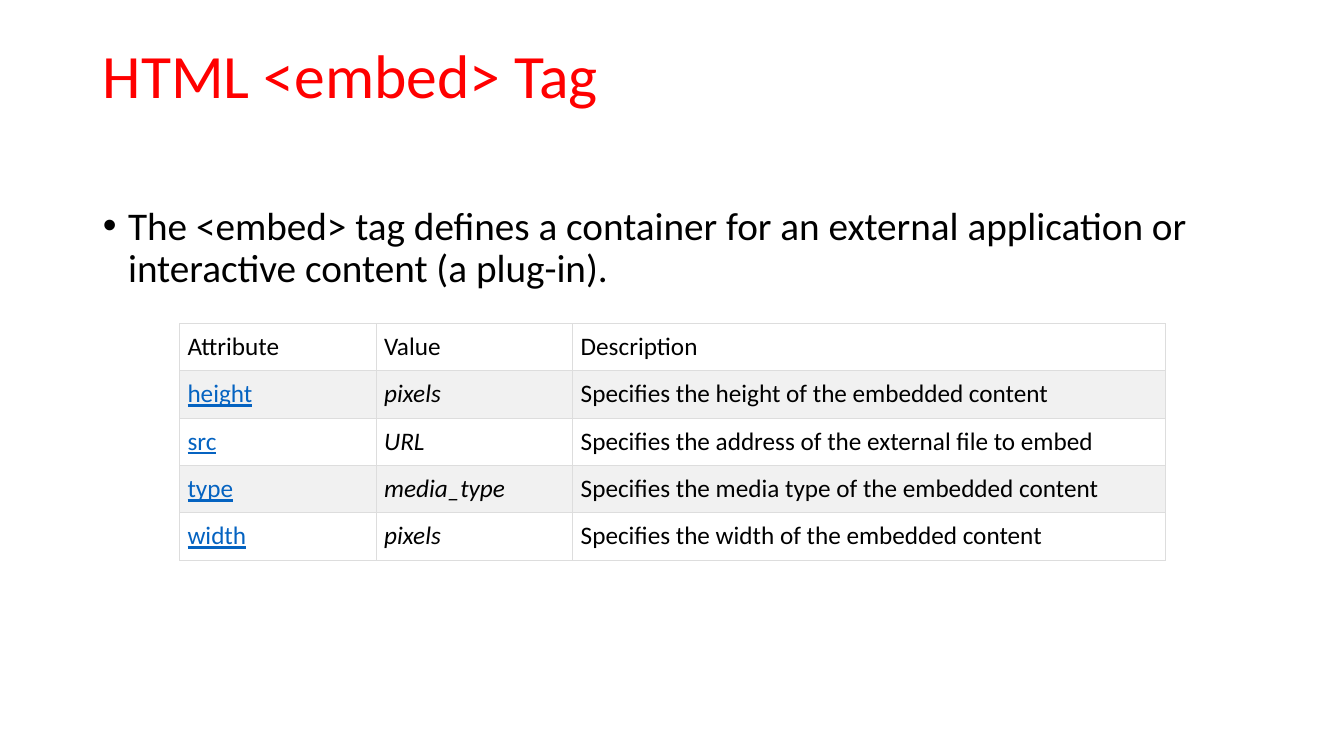
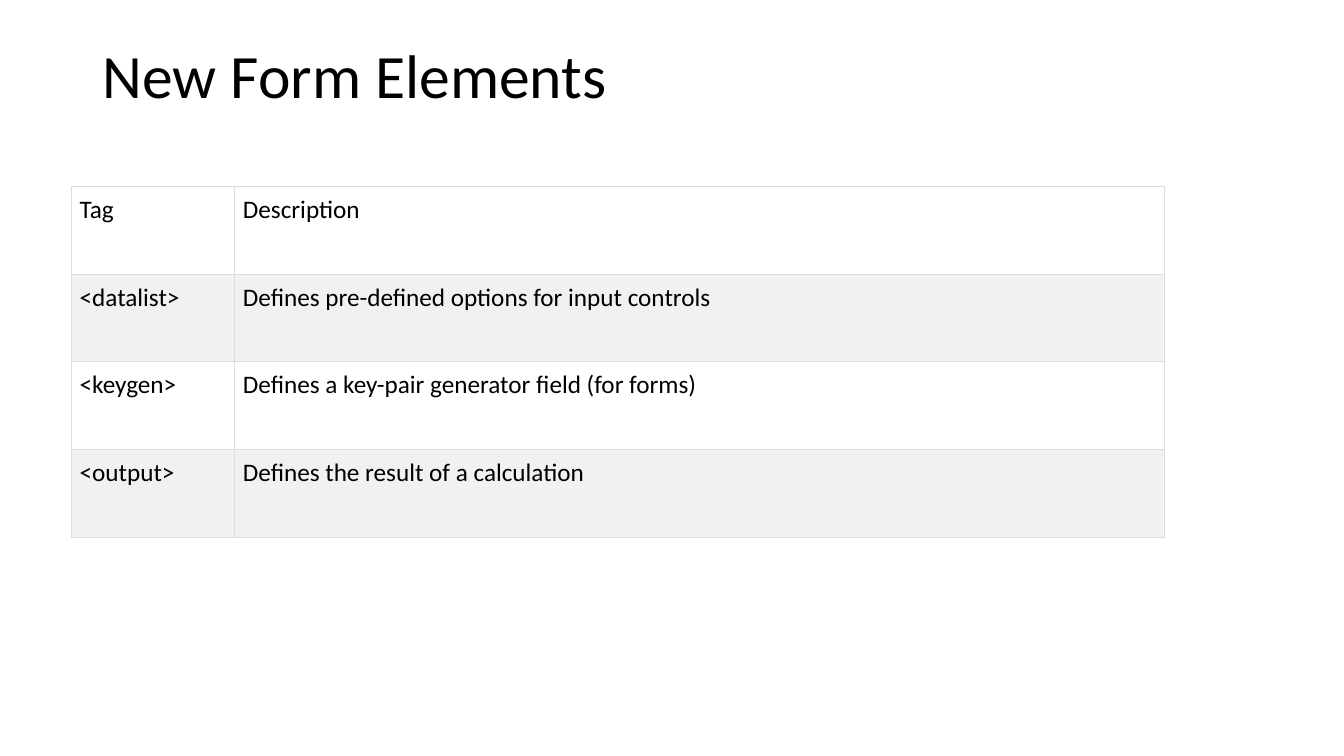
from lxml.etree import SubElement
from pptx import Presentation
from pptx.dml.color import RGBColor
from pptx.enum.text import MSO_ANCHOR, MSO_AUTO_SIZE, PP_ALIGN
from pptx.oxml.ns import qn
from pptx.util import Inches, Pt

COLORS = {
    "text": "000000",
    "accent": "FF0000",
    "link": "0563C1",
    "plain": "FFFFFF",
    "band": "F1F1F1",
    "border": "DDDDDD",
}
FONT = "Calibri"
LEFT, WIDTH = 0.92, 11.5

ATTRIBUTES = [
    ("Attribute", "Value", "Description"),
    ("height", "pixels", "Specifies the height of the embedded content"),
    ("src", "URL", "Specifies the address of the external file to embed"),
    ("type", "media_type", "Specifies the media type of the embedded content"),
    ("width", "pixels", "Specifies the width of the embedded content"),
]
ELEMENTS = [
    ("Tag", "Description"),
    ("<datalist>", "Defines pre-defined options for input controls"),
    ("<keygen>", "Defines a key-pair generator field (for forms)"),
    ("<output>", "Defines the result of a calculation"),
]


def color(name):
    return RGBColor.from_string(COLORS[name])


def set_font(para, size, name="text"):
    font = para.font
    font.name, font.size = FONT, Pt(size)
    font.color.rgb = color(name)


def fill_holder(holder, text, top, height, size, tint="text"):
    """Place a title or body placeholder and give it one left-aligned paragraph."""
    holder.left, holder.top = Inches(LEFT), Inches(top)
    holder.width, holder.height = Inches(WIDTH), Inches(height)
    frame = holder.text_frame
    frame.text = text
    frame.auto_size = MSO_AUTO_SIZE.NONE
    frame.vertical_anchor = MSO_ANCHOR.TOP
    para = frame.paragraphs[0]
    para.alignment = PP_ALIGN.LEFT
    para.line_spacing = 0.9
    para.space_before = Pt(0)
    set_font(para, size, tint)
    return para


def add_slide(prs, layout, title, tint="text"):
    slide = prs.slides.add_slide(prs.slide_layouts.get_by_name(layout))
    fill_holder(slide.shapes.title, title, 0.4, 1.45, 44, tint)
    return slide


def add_bullet(slide, text):
    para = fill_holder(slide.placeholders[1], text, 2, 4.76, 28)
    props = para._p.get_or_add_pPr()
    props.set("marL", str(Inches(0.25)))
    props.set("indent", str(Inches(-0.25)))


def add_border(cell):
    props = cell._tc.get_or_add_tcPr()
    for side in ("lnL", "lnR", "lnT", "lnB"):
        line = SubElement(props, qn(f"a:{side}"), w=str(Pt(0.75)))
        fill = SubElement(line, qn("a:solidFill"))
        SubElement(fill, qn("a:srgbClr"), val=COLORS["border"])


def style_cell(cell, text, fill):
    cell.text = text
    cell.margin_left = cell.margin_right = Inches(0.08)
    cell.margin_top = cell.margin_bottom = Inches(0.08)
    add_border(cell)
    cell.fill.solid()
    cell.fill.fore_color.rgb = color(fill)
    set_font(cell.text_frame.paragraphs[0], 18)


def add_table(slide, rows, left, top, widths, height):
    """Draw a bordered table whose every second row is shaded."""
    frame = slide.shapes.add_table(
        len(rows), len(widths), Inches(left), Inches(top),
        Inches(sum(widths)), Inches(height * len(rows)))
    table = frame.table
    table.first_row = table.horz_banding = False
    for col, width in zip(table.columns, widths):
        col.width = Inches(width)
    for r, row in enumerate(rows):
        table.rows[r].height = Inches(height)
        for c, text in enumerate(row):
            style_cell(table.cell(r, c), text, "band" if r % 2 else "plain")
    return table


def mark_terms(table):
    """Below the header, underline names like links and slant their values."""
    for r in range(1, len(table.rows)):
        name, value = (table.cell(r, c).text_frame.paragraphs[0].font
                       for c in range(2))
        name.underline = True
        name.color.rgb = color("link")
        value.italic = True


def main():
    prs = Presentation()
    prs.slide_width, prs.slide_height = Inches(13.33), Inches(7.5)

    embed = add_slide(prs, "Title and Content", "HTML <embed> Tag", "accent")
    add_bullet(embed, "The <embed> tag defines a container for an external "
                      "application or interactive content (a plug-in).")
    mark_terms(add_table(embed, ATTRIBUTES, 1.78, 3.21, (1.95, 1.95, 5.88), 0.47))

    forms = add_slide(prs, "Title Only", "New Form Elements")
    add_table(forms, ELEMENTS, 0.71, 1.85, (1.62, 9.22), 0.87)

    prs.save("out.pptx")


if __name__ == "__main__":
    main()
